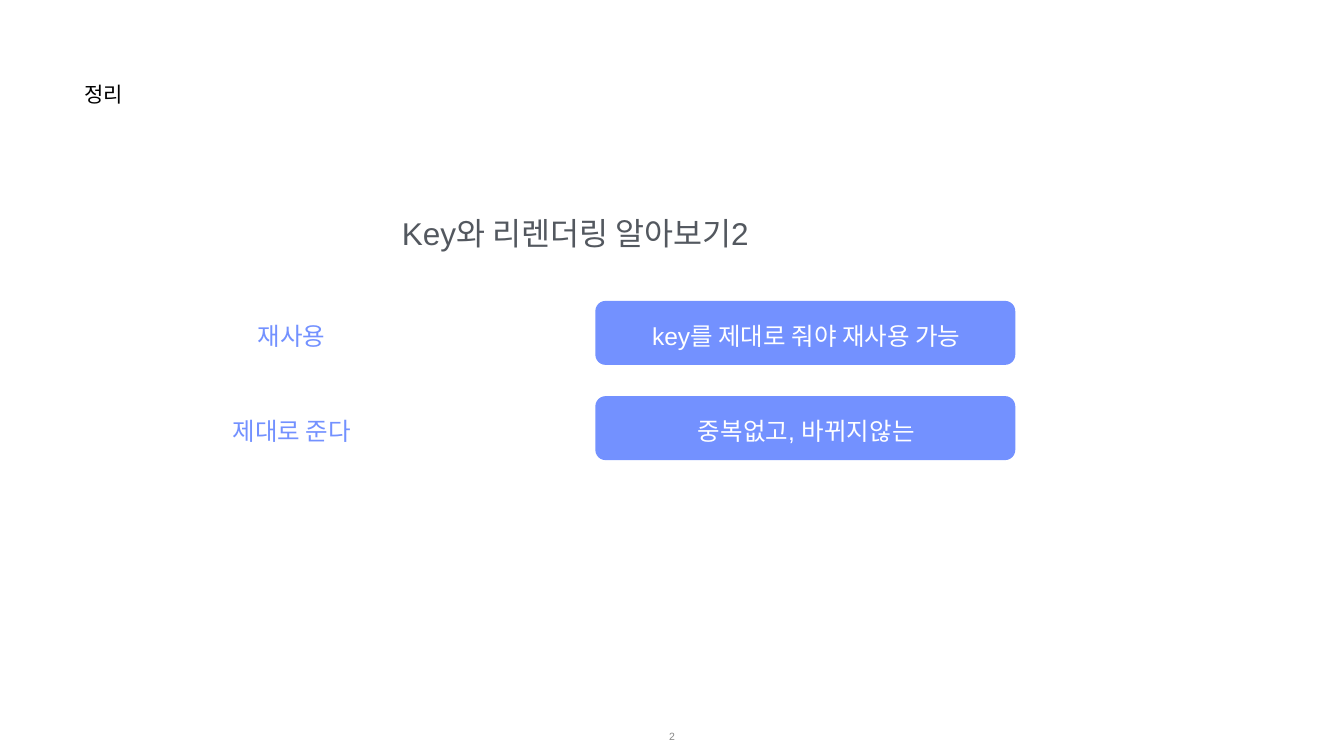
from dataclasses import dataclass

from pptx import Presentation
from pptx.dml.color import RGBColor
from pptx.enum.shapes import MSO_SHAPE
from pptx.enum.text import MSO_ANCHOR, PP_ALIGN
from pptx.util import Inches, Pt

ROUNDED = MSO_SHAPE.ROUNDED_RECTANGLE
TOP, MIDDLE = MSO_ANCHOR.TOP, MSO_ANCHOR.MIDDLE
LEFT, CENTER = PP_ALIGN.LEFT, PP_ALIGN.CENTER

BLUE, WHITE = "7391FF", "FFFFFF"
LABEL_X, LABEL_W = 2.66, 6.25
ANSWER_X, ANSWER_W = 11.81, 8.33
ROW_Y, ROW_H, ROW_PITCH = 5.97, 1.27, 1.89
TEXT_H = 0.62


@dataclass
class Label:
    text: str
    x: float
    y: float
    w: float
    h: float
    size: float
    color: str
    align: PP_ALIGN = CENTER
    anchor: MSO_ANCHOR = MIDDLE


@dataclass
class Row:
    term: str
    answer: str


LABELS = [
    Label("정리", 1.67, 1.6, 4.86, 1.18, 30, "000000", LEFT, TOP),
    Label("Key와 리렌더링 알아보기2", 2.64, 4.24, 17.54, 0.79, 45, "53585F", CENTER, TOP),
    Label("2", 10.33, 14.21, 6, 0.79, 15, "888888"),
]
ROWS = [
    Row("재사용", "key를 제대로 줘야 재사용 가능"),
    Row("제대로 준다", "중복없고, 바뀌지않는"),
]


def rgb(color: str) -> RGBColor:
    return RGBColor.from_string(color)


def add_label(s, label: Label) -> None:
    box = s.shapes.add_textbox(*map(Inches, (label.x, label.y, label.w, label.h)))
    tf = box.text_frame
    frame_format = {"word_wrap": True, "vertical_anchor": label.anchor}
    for side in ("left", "top", "right", "bottom"):
        frame_format[f"margin_{side}"] = Inches(0.01)
    for name, value in frame_format.items():
        setattr(tf, name, value)
    p = tf.paragraphs[0]
    p.alignment = label.align
    r = p.add_run()
    r.text = label.text
    for name, value in {"name": "Arial", "size": Pt(label.size)}.items():
        setattr(r.font, name, value)
    r.font.color.rgb = rgb(label.color)


def add_panel(s, x: float, y: float, w: float, color: str) -> None:
    sp = s.shapes.add_shape(ROUNDED, *map(Inches, (x, y, w, ROW_H)))
    sp.adjustments[0] = 0.16
    sp.shadow.inherit = False
    sp.fill.solid()
    sp.fill.fore_color.rgb = rgb(color)
    sp.line.fill.background()


def add_row(s, row: Row, y: float) -> None:
    text_y = y + (ROW_H - TEXT_H) / 2 + 0.05
    add_panel(s, LABEL_X, y, LABEL_W, WHITE)
    add_panel(s, ANSWER_X, y, ANSWER_W, BLUE)
    add_label(s, Label(row.term, LABEL_X, text_y, LABEL_W, TEXT_H, 35, BLUE))
    add_label(s, Label(row.answer, ANSWER_X + 0.02, text_y, ANSWER_W, TEXT_H, 35, WHITE))


def main() -> None:
    prs = Presentation()
    prs.slide_width, prs.slide_height = Inches(26.66), Inches(15)
    s = prs.slides.add_slide(prs.slide_layouts[6])
    for label in LABELS:
        add_label(s, label)
    for i, row in enumerate(ROWS):
        add_row(s, row, ROW_Y + i * ROW_PITCH)
    prs.save("out.pptx")


if __name__ == "__main__":
    main()
